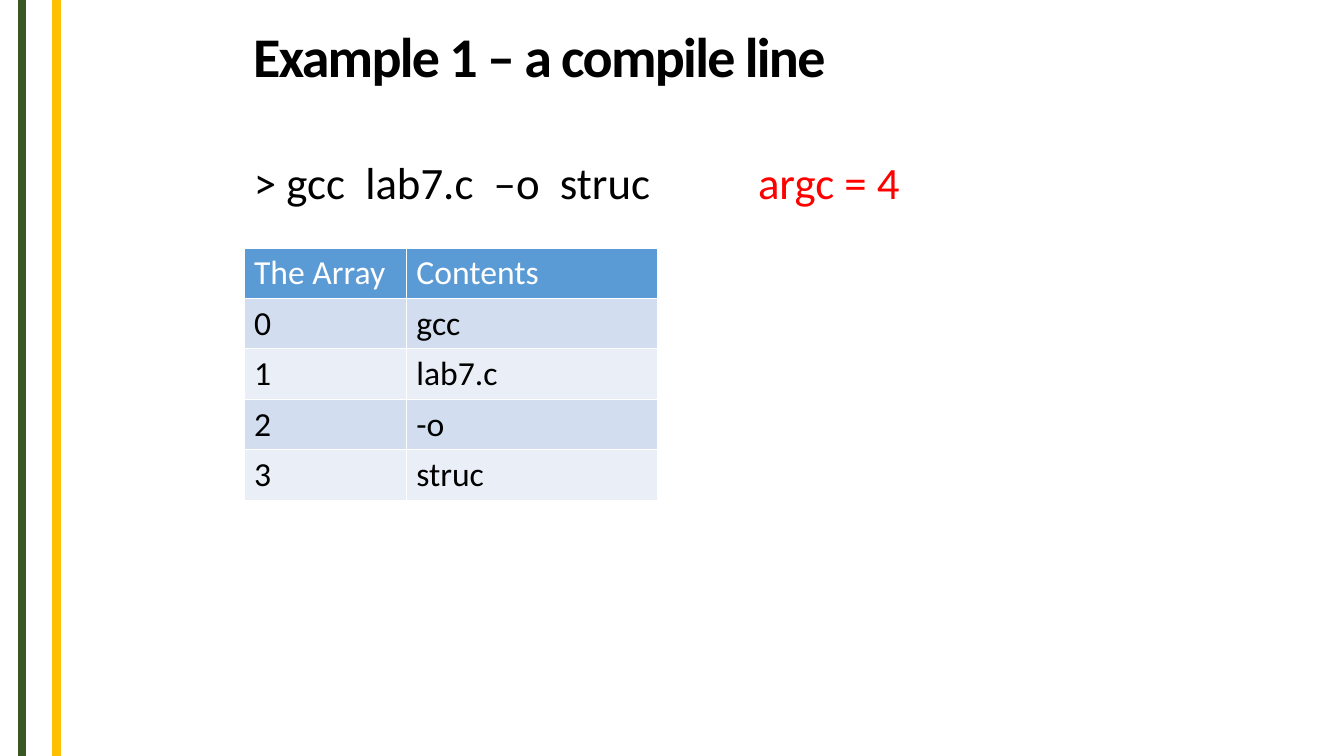
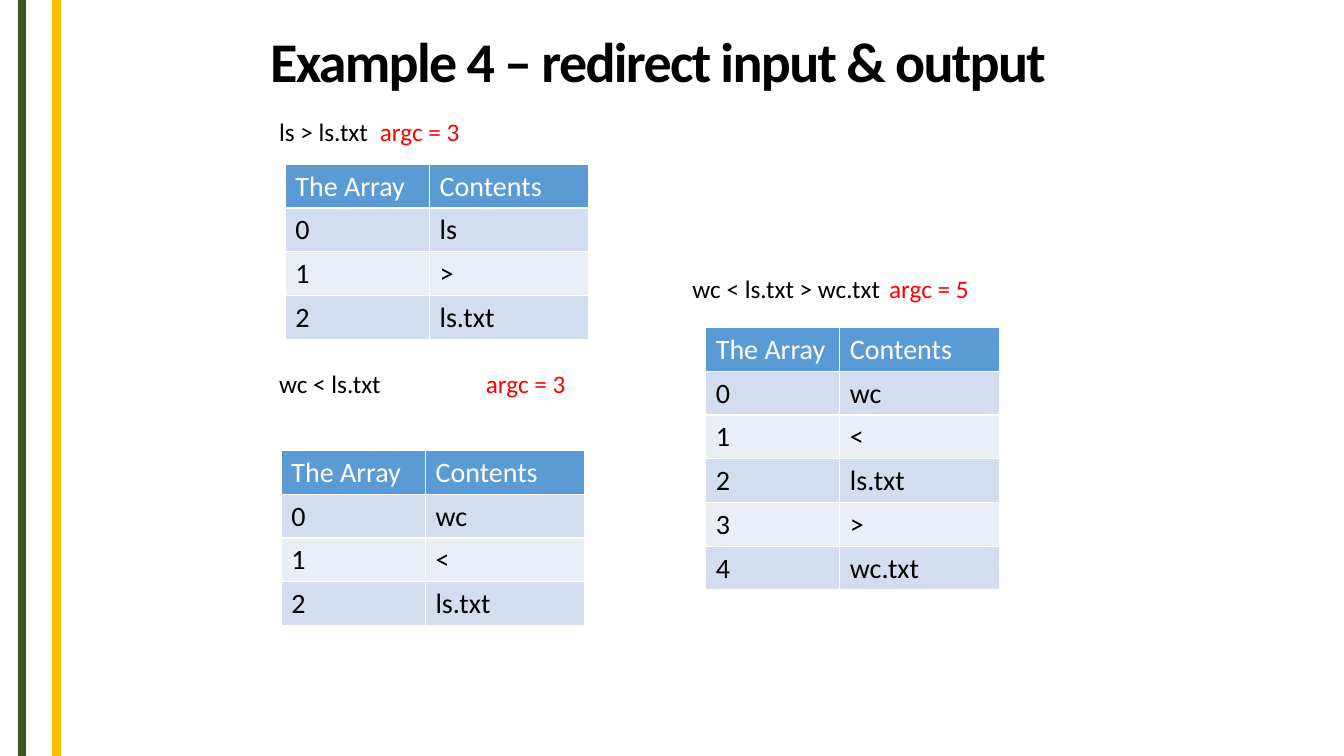
from dataclasses import dataclass

from lxml import etree
from pptx import Presentation
from pptx.dml.color import RGBColor
from pptx.enum.shapes import MSO_CONNECTOR
from pptx.enum.text import MSO_ANCHOR
from pptx.oxml.ns import qn
from pptx.util import Inches, Pt

STRAIGHT = MSO_CONNECTOR.STRAIGHT
MIDDLE = MSO_ANCHOR.MIDDLE

FONT = "Calibri"
COLORS = {
    "text": "000000",
    "argc": "FF0000",
    "white": "FFFFFF",
    "header": "5B9BD5",
    "odd_row": "D2DEEF",
    "even_row": "EAEFF7",
    "green": "385723",
    "gold": "FFC000",
}
SLIDE_WIDTH, SLIDE_HEIGHT = 13.33, 7.5
BANDS = ((0.22, "green"), (0.56, "gold"))
HEADINGS = ("The Array", "Contents")


@dataclass
class Title:
    text: str
    left: float
    top: float


@dataclass
class Caption:
    command: str
    left: float
    top: float
    width: float
    tab: float  # distance from the text edge to the argument count


@dataclass
class ArgumentTable:
    left: float
    top: float
    column_widths: tuple[float, float]
    row_height: float


@dataclass
class Example:
    caption: Caption
    table: ArgumentTable
    arguments: tuple[str, ...]
    caption_size: int
    table_size: int


@dataclass
class SlideContent:
    title: Title
    examples: tuple[Example, ...]


SMALL_COLUMNS = (1.43, 1.58)
SLIDES = (
    SlideContent(
        Title("Example 1 – a compile line", 2.3, 0.19),
        (
            Example(
                Caption("> gcc  lab7.c  –o  struc", 2.42, 1.49, 8.5, 5),
                ArgumentTable(2.42, 2.46, (1.61, 2.49), 0.5),
                ("gcc", "lab7.c", "-o", "struc"), 32, 24,
            ),
        ),
    ),
    SlideContent(
        Title("Example 4 – redirect input & output", 2.47, 0.24),
        (
            Example(
                Caption("ls > ls.txt", 2.67, 1.1, 3.5, 1),
                ArgumentTable(2.83, 1.63, SMALL_COLUMNS, 0.43),
                ("ls", ">", "ls.txt"), 18, 20,
            ),
            Example(
                Caption("wc < ls.txt", 2.67, 3.6, 3.5, 2.05),
                ArgumentTable(2.79, 4.47, SMALL_COLUMNS, 0.43),
                ("wc", "<", "ls.txt"), 18, 20,
            ),
            Example(
                Caption("wc < ls.txt > wc.txt", 6.77, 2.66, 3.5, 1.95),
                ArgumentTable(7, 3.25, (1.33, 1.58), 0.43),
                ("wc", "<", "ls.txt", ">", "wc.txt"), 18, 20,
            ),
        ),
    ),
)


def rgb(name: str) -> RGBColor:
    return RGBColor.from_string(COLORS[name])


def add_run(paragraph, text: str, size: float, color: str, bold: bool = False):
    run = paragraph.add_run()
    run.text = text
    run.font.name = FONT
    run.font.size = Pt(size)
    run.font.bold = bold
    run.font.color.rgb = rgb(color)
    return run


def add_text_frame(slide, left: float, top: float, width: float, height: float):
    shape = slide.shapes.add_textbox(
        Inches(left), Inches(top), Inches(width), Inches(height))
    shape.text_frame.word_wrap = True
    return shape.text_frame


# Vertical bands shared by every slide
def add_bands(slide) -> None:
    for x, color in BANDS:
        band = slide.shapes.add_connector(
            STRAIGHT, Inches(x), Inches(0), Inches(x), Inches(SLIDE_HEIGHT))
        band.line.color.rgb = rgb(color)
        band.line.width = Pt(6)
        etree.SubElement(band._element.spPr, qn("a:effectLst"))


def add_title(slide, title: Title) -> None:
    frame = add_text_frame(slide, title.left, title.top, 9.03, 0.8)
    frame.margin_left = Inches(0.21)
    frame.vertical_anchor = MIDDLE
    paragraph = frame.paragraphs[0]
    paragraph.line_spacing = 0.9
    run = add_run(paragraph, title.text, 40, "text", bold=True)
    run.font._element.set("spc", "-120")


# Command line, then its argument count at a tab stop
def add_caption(slide, caption: Caption, count: int, size: int) -> None:
    frame = add_text_frame(
        slide, caption.left, caption.top, caption.width, size / 72 * 1.22 + 0.1)
    paragraph = frame.paragraphs[0]
    properties = paragraph._p.get_or_add_pPr()
    tabs = etree.SubElement(properties, qn("a:tabLst"))
    etree.SubElement(tabs, qn("a:tab"), pos=str(Inches(caption.tab)), algn="l")
    add_run(paragraph, caption.command + "\t", size, "text")
    add_run(paragraph, f"argc = {count}", size, "argc")


def add_borders(cell) -> None:
    properties = cell._tc.get_or_add_tcPr()
    for side in ("lnL", "lnR", "lnT", "lnB"):
        line = etree.SubElement(properties, qn(f"a:{side}"), w=str(Pt(1)))
        fill = etree.SubElement(line, qn("a:solidFill"))
        etree.SubElement(fill, qn("a:srgbClr"), val=COLORS["white"])


def add_argument_table(slide, layout: ArgumentTable,
                       arguments: tuple[str, ...], size: int) -> None:
    rows = [HEADINGS] + [(str(i), text) for i, text in enumerate(arguments)]
    table = slide.shapes.add_table(
        len(rows), len(HEADINGS), Inches(layout.left), Inches(layout.top),
        Inches(sum(layout.column_widths)),
        Inches(layout.row_height * len(rows))).table
    table.horz_banding = False
    for column, width in zip(table.columns, layout.column_widths):
        column.width = Inches(width)
    for row_index, row in enumerate(rows):
        table.rows[row_index].height = Inches(layout.row_height)
        if row_index == 0:
            fill, color = "header", "white"
        else:
            fill, color = "odd_row" if row_index % 2 else "even_row", "text"
        for column_index, text in enumerate(row):
            cell = table.cell(row_index, column_index)
            add_borders(cell)
            cell.fill.solid()
            cell.fill.fore_color.rgb = rgb(fill)
            add_run(cell.text_frame.paragraphs[0], text, size, color)


def add_slide(presentation, content: SlideContent) -> None:
    slide = presentation.slides.add_slide(presentation.slide_layouts[6])
    add_bands(slide)
    add_title(slide, content.title)
    for example in content.examples:
        add_caption(slide, example.caption, len(example.arguments),
                    example.caption_size)
        add_argument_table(slide, example.table, example.arguments,
                           example.table_size)


def main() -> None:
    presentation = Presentation()
    presentation.slide_width = Inches(SLIDE_WIDTH)
    presentation.slide_height = Inches(SLIDE_HEIGHT)
    for content in SLIDES:
        add_slide(presentation, content)
    presentation.save("out.pptx")


if __name__ == "__main__":
    main()
